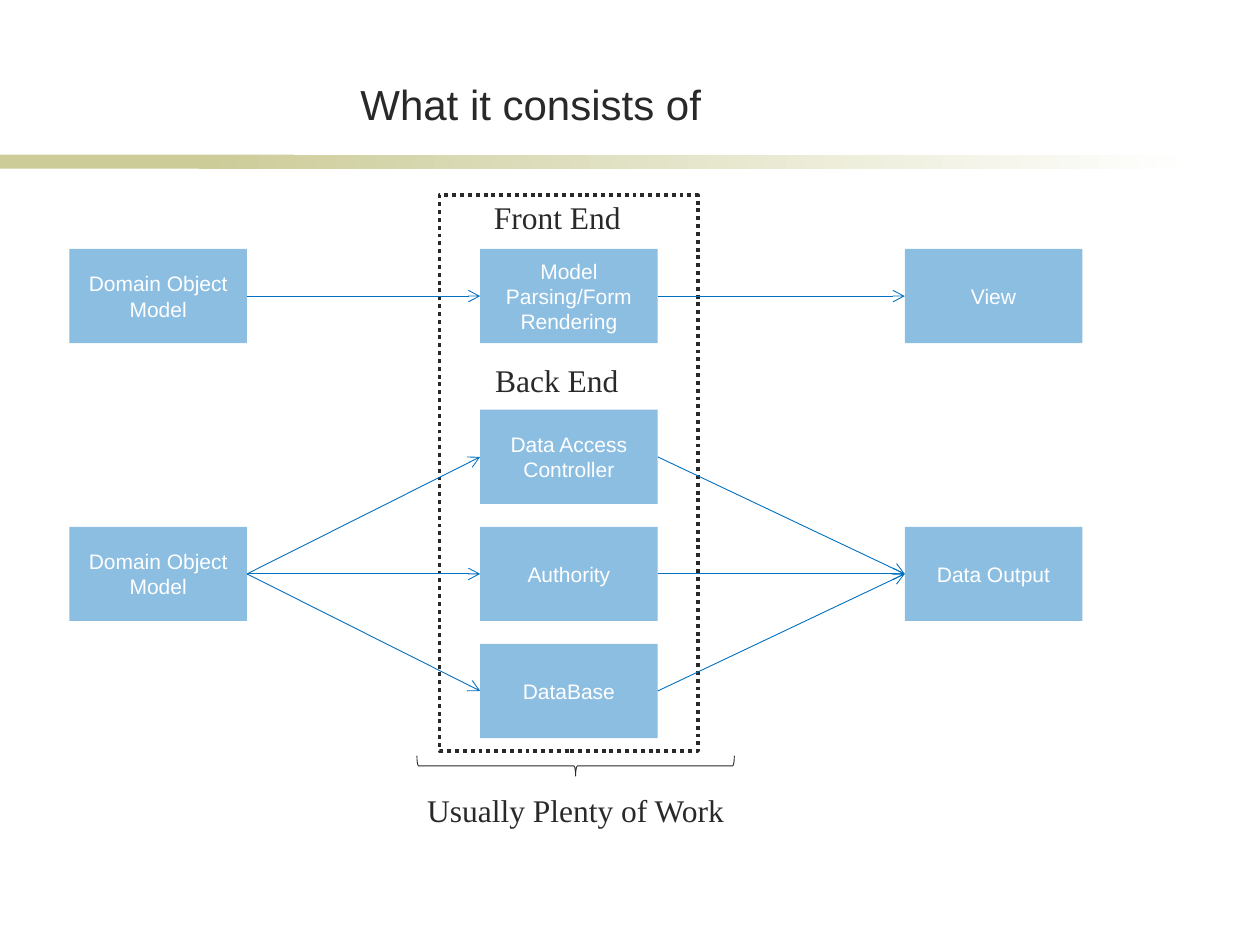
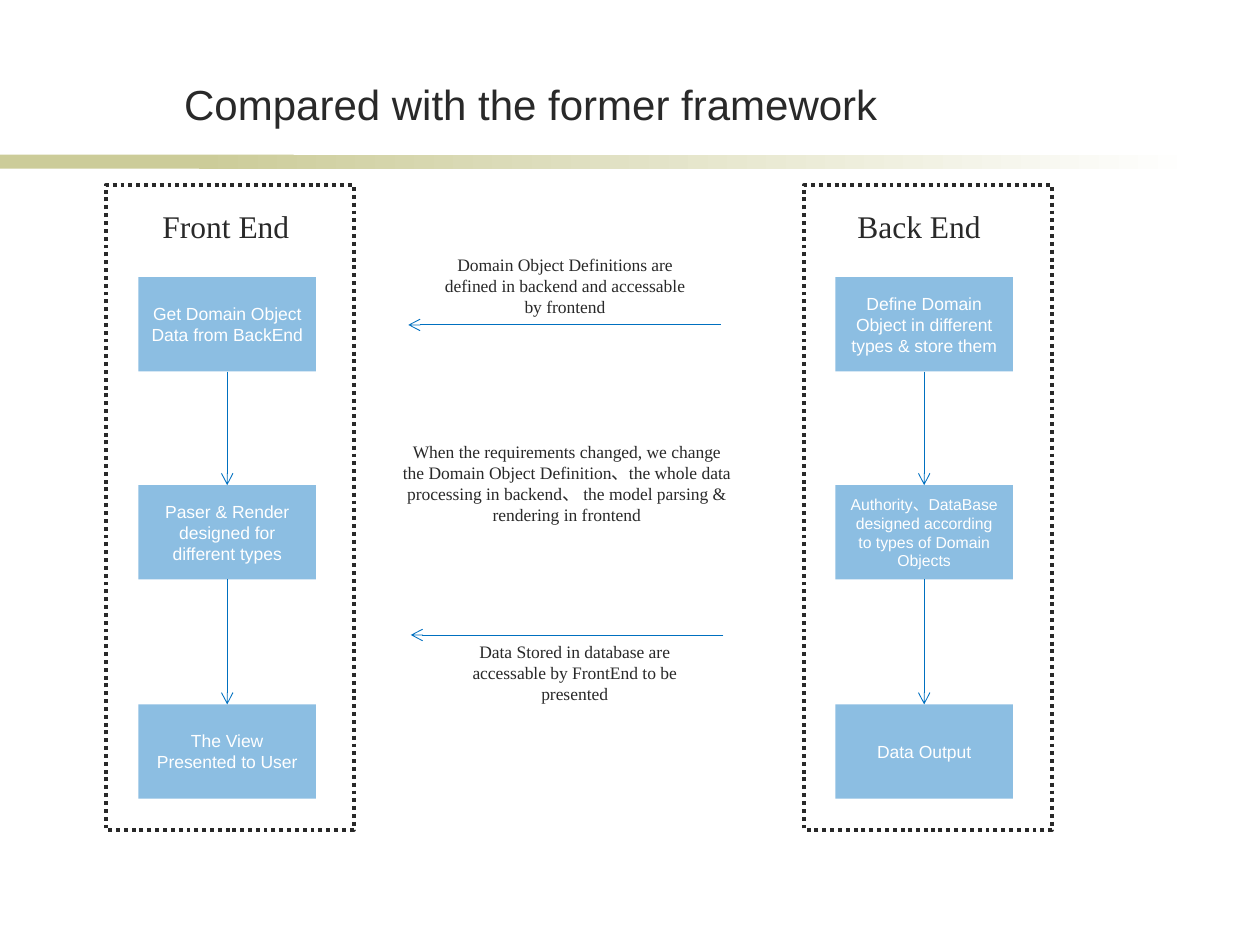
"""Build two slides on a front end and back end framework."""
import pptx
import pptx.util
import pptx.dml.color
import pptx.enum.dml
import pptx.enum.shapes
import pptx.enum.text
import pptx.oxml.ns
import lxml.etree

Cm = pptx.util.Cm
Pt = pptx.util.Pt
SHAPE = pptx.enum.shapes.MSO_SHAPE
ANCHOR = pptx.enum.text.MSO_ANCHOR

BLUE, DARK, WHITE, OLIVE = "0070C0", "292929", "FFFFFF", "CCCC99"
SANS, SERIF = "Arial", "Times New Roman"
BOX_W, BOX_H = 3.58, 1.9
TOP, LEFT, BOTTOM, RIGHT = range(4)


def paint(target, color):
    """Set a solid colour on a font, fill or line."""
    target.fill.solid() if hasattr(target, "fill") else target.solid()
    tone = target.color if hasattr(target, "color") else target.fore_color
    tone.rgb = pptx.dml.color.RGBColor.from_string(color)


def extend(parent, tag, **attrs):
    """Append one drawing element to a parent."""
    name = pptx.oxml.ns.qn(tag)
    return lxml.etree.SubElement(parent, name, **attrs)


def write(shape, text, size, font, color, anchor):
    """Put centred, formatted text in a shape."""
    frame = shape.text_frame
    frame.text = text
    frame.word_wrap = True
    frame.vertical_anchor = anchor
    for par in frame.paragraphs:
        par.alignment = pptx.enum.text.PP_ALIGN.CENTER
        for run in par.runs:
            run.font.size = Pt(size)
            run.font.name = font
            paint(run.font, color)


def plain(slide, kind, x, y, w, h):
    """Add a shape without shadow, fill or line."""
    shape = slide.shapes.add_shape(kind, Cm(x), Cm(y), Cm(w), Cm(h))
    shape.shadow.inherit = False
    shape.fill.background()
    shape.line.fill.background()
    return shape


def start(deck, title):
    """Add a slide with its title and band."""
    slide = deck.slides.add_slide(deck.slide_layouts[5])
    head = slide.shapes.title
    head.left, head.top = Cm(2.9), Cm(1.12)
    head.width, head.height = Cm(15.6), Cm(1.6)
    write(head, title, 24, SANS, DARK, ANCHOR.BOTTOM)
    paint(plain(slide, SHAPE.RECTANGLE, 0, 3.12, 5.92, 0.28).fill, OLIVE)
    fade = plain(slide, SHAPE.RECTANGLE, 4.01, 3.12, 20.12, 0.28).fill
    fade.gradient()
    fade.gradient_angle = 0
    for stop, color in zip(fade.gradient_stops, (OLIVE, WHITE)):
        stop.color.rgb = pptx.dml.color.RGBColor.from_string(color)
    return slide


def frame(slide, x, y, w, h):
    """Add a dotted frame."""
    line = plain(slide, SHAPE.RECTANGLE, x, y, w, h).line
    paint(line, DARK)
    line.width = Pt(2.25)
    line.dash_style = pptx.enum.dml.MSO_LINE.ROUND_DOT


def box(slide, x, y, text, size=12):
    """Add a translucent blue box with white text."""
    shape = plain(slide, SHAPE.RECTANGLE, x, y, BOX_W, BOX_H)
    paint(shape.fill, BLUE)
    tone = shape.fill._xPr.find(".//" + pptx.oxml.ns.qn("a:srgbClr"))
    extend(tone, "a:alpha", val="45000")
    write(shape, text, size, SANS, WHITE, ANCHOR.MIDDLE)
    return shape


def note(slide, x, y, w, h, text, size=18):
    """Add a centred serif text box."""
    area = slide.shapes.add_textbox(Cm(x), Cm(y), Cm(w), Cm(h))
    write(area, text, size, SERIF, DARK, ANCHOR.TOP)


def arrow(slide, x1=0, y1=0, x2=0, y2=0):
    """Add a thin blue arrow between two points."""
    line = slide.shapes.add_connector(
        pptx.enum.shapes.MSO_CONNECTOR.STRAIGHT, Cm(x1), Cm(y1), Cm(x2), Cm(y2))
    paint(line.line, BLUE)
    line.line.width = Pt(0.5)
    extend(line.line._get_or_add_ln(), "a:tailEnd", type="arrow")
    extend(line._element.spPr, "a:effectLst")
    return line


def link(slide, first, last, out=RIGHT, into=LEFT):
    """Join two boxes with an arrow."""
    line = arrow(slide)
    line.begin_connect(first, out)
    line.end_connect(last, into)


def brace(slide, x, y, w, h):
    """Add a brace that opens upward."""
    shape = plain(slide, SHAPE.LEFT_BRACE, x, y, w, h)
    shape.rotation = 270
    paint(shape.line, DARK)
    shape.line.width = Pt(0.5)


def chain(slide, x, steps):
    """Stack boxes in a framed column, joined by arrows."""
    boxes = [box(slide, x, y, text, size)
             for y, (text, size) in zip((5.59, 9.78, 14.2), steps)]
    for first, last in zip(boxes, boxes[1:]):
        link(slide, first, last, BOTTOM, TOP)


def parts(deck):
    """Build the slide on the parts of the framework."""
    slide = start(deck, "What it consists of")
    left, mid, right = 1.4, 9.68, 18.24
    upper, lower, step = 5.02, 10.62, 2.36
    frame(slide, 8.86, 3.94, 5.21, 11.2)
    model = box(slide, left, upper, "Domain Object Model")
    form = box(slide, mid, upper, "Model Parsing/Form Rendering")
    view = box(slide, right, upper, "View")
    link(slide, model, form)
    link(slide, form, view)

    source = box(slide, left, lower, "Domain Object Model")
    output = box(slide, right, lower, "Data Output")
    names = ("Data Access Controller", "Authority", "DataBase")
    for row, name in enumerate(names, -1):
        stage = box(slide, mid, lower + row * step, name)
        link(slide, source, stage)
        link(slide, stage, output)

    note(slide, 9.14, 3.86, 4.19, 1.02, "Front End")
    note(slide, 8.71, 7.16, 5.03, 1.02, "Back End")
    brace(slide, 11.4, 12.24, 0.41, 6.4)
    note(slide, 6.55, 15.82, 10.11, 1.02, "Usually Plenty of Work")


def compare(deck):
    """Build the slide on the former framework."""
    slide = start(deck, "Compared with the former framework")
    for x in (2.13, 16.21):
        frame(slide, x, 3.73, 5, 13)
    note(slide, 2.79, 4.04, 3.53, 1.02, "Front End")
    note(slide, 16.13, 4.04, 4.8, 1.02, "Back End")
    chain(slide, 2.79, (
        ("Get Domain Object Data from BackEnd", 10),
        ("Paser & Render designed for different types", 10),
        ("The View Presented to User", 10)))
    chain(slide, 16.84, (
        ("Define Domain Object in different types & store them", 10),
        ("Authority、DataBase designed according to types of Domain Objects", 9),
        ("Data Output", 10)))
    note(slide, 8.61, 5, 5.56, 1.52, "Domain Object Definitions are defined "
         "in backend and accessable by frontend", 10)
    note(slide, 7.87, 8.76, 7.11, 1.96, "When the requirements changed, we "
         "change the Domain Object Definition、the whole data processing in "
         "backend、 the model parsing & rendering in frontend", 10)
    note(slide, 8.84, 12.8, 5.49, 1.52, "Data Stored in database are "
         "accessable by FrontEnd to be presented", 10)
    arrow(slide, 14.53, 6.55, 8.23, 6.55)
    arrow(slide, 14.58, 12.8, 8.28, 12.8)


def main():
    """Build and save the deck."""
    deck = pptx.Presentation()
    deck.slide_width, deck.slide_height = Cm(25.4), Cm(19.05)
    parts(deck)
    compare(deck)
    deck.save("out.pptx")


if __name__ == "__main__":
    main()
